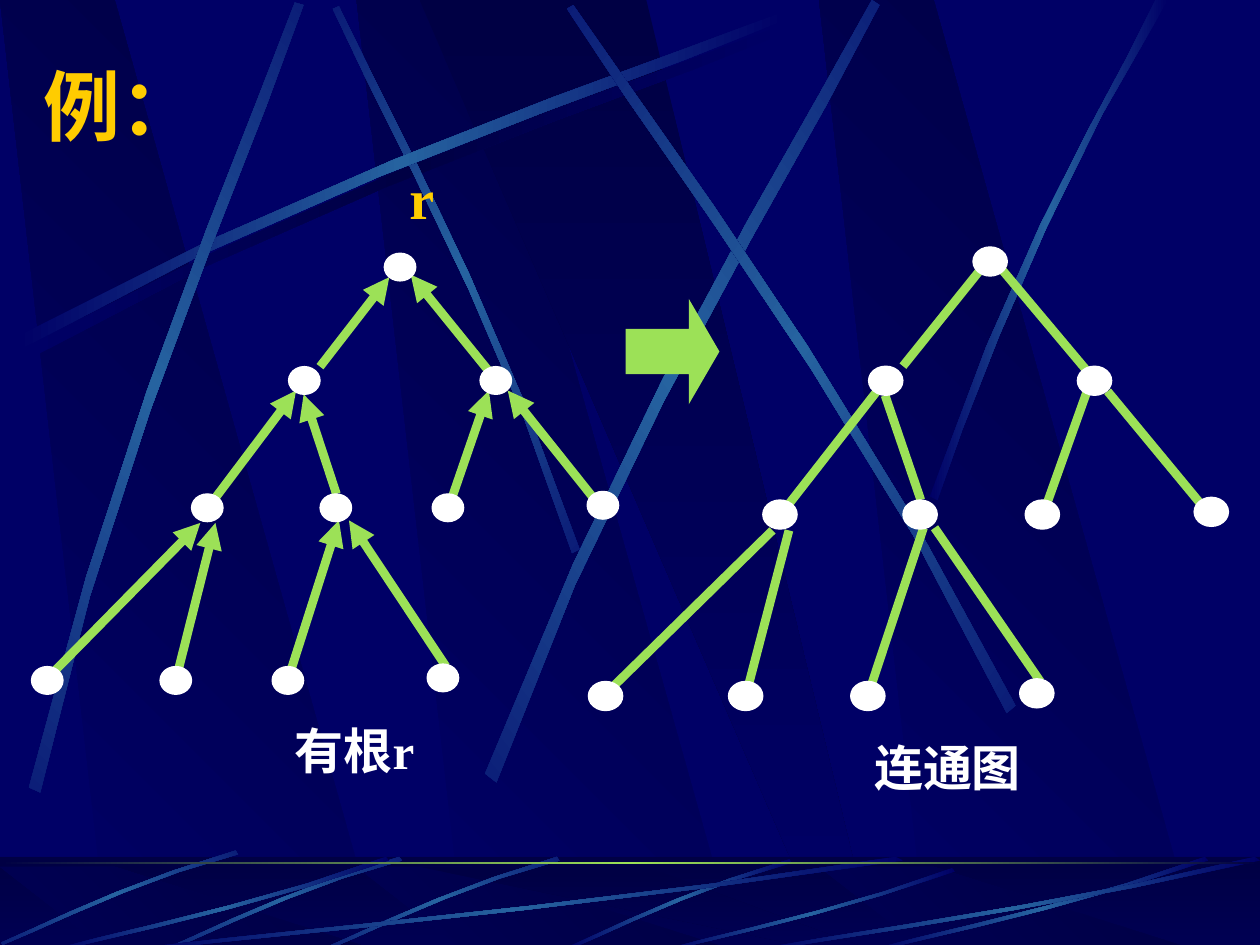
from math import cos, radians, sin

from lxml.etree import SubElement
from pptx import Presentation
from pptx.dml.color import RGBColor
from pptx.enum.shapes import MSO_CONNECTOR as Connector, MSO_SHAPE as Preset
from pptx.enum.text import MSO_ANCHOR as Anchor
from pptx.oxml.ns import qn
from pptx.util import Cm, Pt

NAVY = RGBColor(0x00, 0x00, 0x66)
MIDNIGHT = RGBColor(0x00, 0x00, 0x44)
STEEL = RGBColor(0x26, 0x63, 0xA0)
GREEN = RGBColor(0x9C, 0xE1, 0x57)
GOLD = RGBColor(0xFF, 0xCC, 0x00)
WHITE = RGBColor(0xFF, 0xFF, 0xFF)

LATIN = "Times New Roman"
HAN = "Noto Sans CJK SC"
GLOW = (NAVY, STEEL, NAVY)
SHADE = (NAVY, MIDNIGHT, NAVY)
CM_PER_UNIT = 2.54

SHARD = [(0.86, 1), (3.02, 1), (0.91, 0), (0, 0)]
CENTRE_SHARD = [(3.33, 0), (6.58, 1), (6.94, 1), (5.13, 0)]

LONG_STREAK = [(0.14, 2.67), (2.78, 1.25), (5.18, 0.51), (6.2, 0.1),
               (6.23, 0.16), (5.22, 0.61), (2.48, 1.43), (0.17, 2.77)]
STEEP_STREAKS = [
    ([(0.23, 6.25), (0.93, 3.34), (1.97, 1.05), (2.34, 0.02),
      (2.41, 0.04), (2.07, 1.09), (0.86, 3.68), (0.32, 6.29)], 311.7),
    ([(3.85, 6.14), (4.98, 3.2), (6.38, 1.02), (6.92, 0),
      (6.98, 0.04), (6.49, 1.08), (4.86, 3.55), (3.94, 6.21)], 321.6),
    ([(8.06, 5.6), (6.7, 2.93), (5.16, 0.95), (4.55, 0.04),
      (4.5, 0.07), (5.07, 1.01), (6.85, 3.25), (7.99, 5.66)], 34.8),
]
THIN_STREAK = [(4.6, 4.36), (3.91, 2.34), (3.02, 0.77), (2.69, 0.05),
               (2.64, 0.07), (2.95, 0.79), (3.98, 2.58), (4.54, 4.39)]
RIGHT_STREAK = [(7.38, 3.94), (8.14, 1.73), (8.88, 0.66), (9.17, 0),
                (9.27, 0), (8.36, 1.45), (7.69, 3.22), (7.44, 3.97)]

FLOOR_BLADE = [(1.86, 0), (0.99, 0.25), (0.31, 0.6), (0, 0.73),
               (0.01, 0.75), (0.32, 0.63), (1.09, 0.23), (1.88, 0.03)]
FLOOR_SWEEP = [(1, 0.04), (0.57, 0.57), (0.17, 0.85), (0.01, 1),
               (0, 0.98), (0.16, 0.81), (0.61, 0.51), (0.99, 0)]

NODES = [(2.8, 0), (2.04, 0.9), (3.56, 0.9), (1.27, 1.91), (3.18, 1.91), (2.29, 1.91),
         (4.41, 1.89), (0, 3.28), (1.91, 3.28), (1.02, 3.28), (3.14, 3.26)]
EDGES = [((2.29, 0.9), (2.84, 0.19)), ((3.69, 1.01), (3.01, 0.17)),
         ((1.4, 2.02), (2.1, 1.09)), ((2.42, 1.91), (2.16, 1.12)),
         ((4.45, 1.93), (3.78, 1.09)), ((3.31, 2.02), (3.63, 1.09)),
         ((0.13, 3.37), (1.34, 2.14)), ((1.15, 3.37), (1.46, 2.14)),
         ((2.04, 3.37), (2.44, 2.12)), ((3.29, 3.28), (2.52, 2.12))]
TREE_SIZE = (4.66, 3.51)


def length(units):
    return Cm(units * CM_PER_UNIT)


def fill_gradient(shape, colors, angle):
    shape.fill.gradient()
    shape.fill.gradient_angle = 0
    gradient = shape._element.spPr.find(qn("a:gradFill"))
    stops = gradient.find(qn("a:gsLst"))
    for stop in list(stops):
        stops.remove(stop)
    for index, color in enumerate(colors):
        position = round(100000 * index / (len(colors) - 1))
        stop = SubElement(stops, qn("a:gs"), pos=str(position))
        SubElement(stop, qn("a:srgbClr"), val=str(color))
    gradient.find(qn("a:lin")).set("ang", str(round(angle * 60000)))


def add_preset(slide, preset, box, color=None, line_color=None, line_width=0.75):
    shape = slide.shapes.add_shape(preset, *map(length, box))
    shape.shadow.inherit = False
    if color is not None:
        shape.fill.solid()
        shape.fill.fore_color.rgb = color
    if line_color is None:
        shape.line.fill.background()
    else:
        shape.line.color.rgb = line_color
        shape.line.width = Pt(line_width)
    return shape


def add_outline(slide, points, colors, angle=0):
    corners = [(length(x), length(y)) for x, y in points]
    builder = slide.shapes.build_freeform(*corners[0])
    builder.add_line_segments(corners[1:], close=True)
    shape = builder.convert_to_shape()
    shape.shadow.inherit = False
    shape.line.fill.background()
    fill_gradient(shape, colors, angle)
    return shape


def turn(point, angle):
    x, y = point
    c, s = cos(radians(angle)), sin(radians(angle))
    return x * c - y * s, x * s + y * c


def find_centre(points):
    return [(min(axis) + max(axis)) / 2 for axis in zip(*points)]


def trace_curve(controls, steps=5):
    points = []
    for step in range(steps + 1):
        t = step / steps
        weights = ((1 - t) ** 3, 3 * t * (1 - t) ** 2, 3 * t * t * (1 - t), t ** 3)
        points.append(tuple(sum(w * c for w, c in zip(weights, axis)) for axis in zip(*controls)))
    return points


def add_streak(slide, controls, box, colors=GLOW, rotation=0):
    left, top, width, height = box
    placed = [(left + x * width, top + y * height) for x, y in controls]
    points = trace_curve(placed[:4]) + trace_curve(placed[4:])
    level = [turn(point, -rotation) for point in points]
    level_x, level_y = find_centre(level)
    x, y = turn((level_x, level_y), rotation)
    shifted = [(px + x - level_x, py + y - level_y) for px, py in level]
    add_outline(slide, shifted, colors).rotation = rotation


def add_text(slide, box, runs, size, color, wrap=True, anchor=Anchor.TOP):
    frame = slide.shapes.add_textbox(*map(length, box)).text_frame
    frame.word_wrap = wrap
    frame.vertical_anchor = anchor
    for text, name in runs:
        run = frame.paragraphs[0].add_run()
        run.text = text
        run.font.name = name
        run.font.size = Pt(size)
        run.font.bold = True
        run.font.color.rgb = color
        SubElement(run.font._element, qn("a:ea"), typeface=HAN)


def add_edge(slide, start, end, arrow):
    connector = slide.shapes.add_connector(Connector.STRAIGHT, *map(length, start + end))
    connector.line.color.rgb = GREEN
    connector.line.width = Pt(5)
    if arrow:
        SubElement(connector.line._get_or_add_ln(), qn("a:tailEnd"), type="triangle")
    SubElement(connector._element.spPr, qn("a:effectLst"))


def draw_shards(slide, box):
    left, top, width, height = box
    outlines = [([(x + shift, y) for x, y in SHARD], (NAVY, MIDNIGHT), 315)
                for shift in (2.83, 0, 6.5)]
    outlines.append((CENTRE_SHARD, (MIDNIGHT, NAVY), 90))
    for points, colors, angle in outlines:
        placed = [(left + x * width / 10, top + y * height) for x, y in points]
        add_outline(slide, placed, colors, angle)


def draw_sky(slide, box):
    left, top, width, height = box
    draw_shards(slide, box)
    origin = (left, top, 1, 1)
    add_streak(slide, LONG_STREAK, (left + 0.06, top + 0.08, 1, 1), SHADE)
    add_streak(slide, THIN_STREAK, origin, rotation=45)
    add_streak(slide, LONG_STREAK, origin)
    for controls, angle in STEEP_STREAKS:
        add_streak(slide, controls, origin, rotation=angle)
    add_streak(slide, RIGHT_STREAK, origin)


def draw_floor(slide, box):
    left, top, width, height = box
    fill_gradient(add_preset(slide, Preset.RECTANGLE, box), (MIDNIGHT, NAVY), 90)
    draw_shards(slide, (left, top + 0.08, width, height - 0.08))
    veil = add_preset(slide, Preset.RECTANGLE, box, MIDNIGHT)
    color = veil._element.spPr.find(qn("a:solidFill")).find(qn("a:srgbClr"))
    SubElement(color, qn("a:alpha"), val="50000")
    add_streak(slide, FLOOR_BLADE, (left + 4.48, top + 0.02, 0.96, 0.97))
    for x, y in ((2.56, 0), (1.31, 0), (0.01, -0.05)):
        add_streak(slide, FLOOR_BLADE, (left + x, top + y, 1, 1), rotation=314.9)
    for x, y, span, rise in ((1, 0, 6.17, 0.75), (0.42, 0, 2.67, 0.75), (5.27, 0.09, 2.31, 0.66),
                             (6.92, 0, 2.67, 0.75), (6, 0, 4, 0.75)):
        add_streak(slide, FLOOR_SWEEP, (left + x, top + y, span, rise))
    horizon = add_preset(slide, Preset.RECTANGLE, (left, top + 0.04, width, 0.02))
    fill_gradient(horizon, (MIDNIGHT, GREEN, MIDNIGHT), 0)


def draw_tree(slide, box, caption, directed):
    left, top, width, height = box
    scale_x, scale_y = width / TREE_SIZE[0], height / TREE_SIZE[1]

    def place(x, y):
        return left + x * scale_x, top + y * scale_y

    for child, parent in EDGES:
        add_edge(slide, place(*child), place(*parent), directed)
    for node in NODES:
        node_box = (*place(*node), 0.25 * scale_x, 0.22 * scale_y)
        add_preset(slide, Preset.OVAL, node_box, WHITE, WHITE)
    if directed:
        add_text(slide, (*place(2.9, -0.76), 0.4, 0.64), [("r", LATIN)], 32, GOLD, wrap=False)
    add_text(slide, (*place(1.99, 3.66), 1.38 * scale_x, 0.57), caption, 28, WHITE)


def main():
    presentation = Presentation()
    presentation.slide_width, presentation.slide_height = Cm(25.4), Cm(19.05)
    slide = presentation.slides.add_slide(presentation.slide_layouts[6])
    slide.background.fill.solid()
    slide.background.fill.fore_color.rgb = NAVY
    draw_sky(slide, (0, 0, 10, 7.52))
    draw_floor(slide, (0, 6.8, 10, 0.75))
    add_text(slide, (0.25, 0.41, 8.5, 0.84), [("例：", "Montserrat")], 44, GOLD, anchor=Anchor.MIDDLE)
    draw_tree(slide, (0.25, 2.01, 4.66, 3.51), [("有根", HAN), ("r", LATIN)], directed=True)
    draw_tree(slide, (4.67, 1.96, 5.08, 3.69), [("连通图", HAN)], directed=False)
    arrow = add_preset(slide, Preset.RIGHT_ARROW, (5, 2.5, 0.67, 0.58), GREEN, GREEN, 5)
    arrow.adjustments[0], arrow.adjustments[1] = 0.5, 0.29
    SubElement(arrow.line._get_or_add_ln(), qn("a:miter"), lim="800000")
    presentation.save("out.pptx")


if __name__ == "__main__":
    main()
